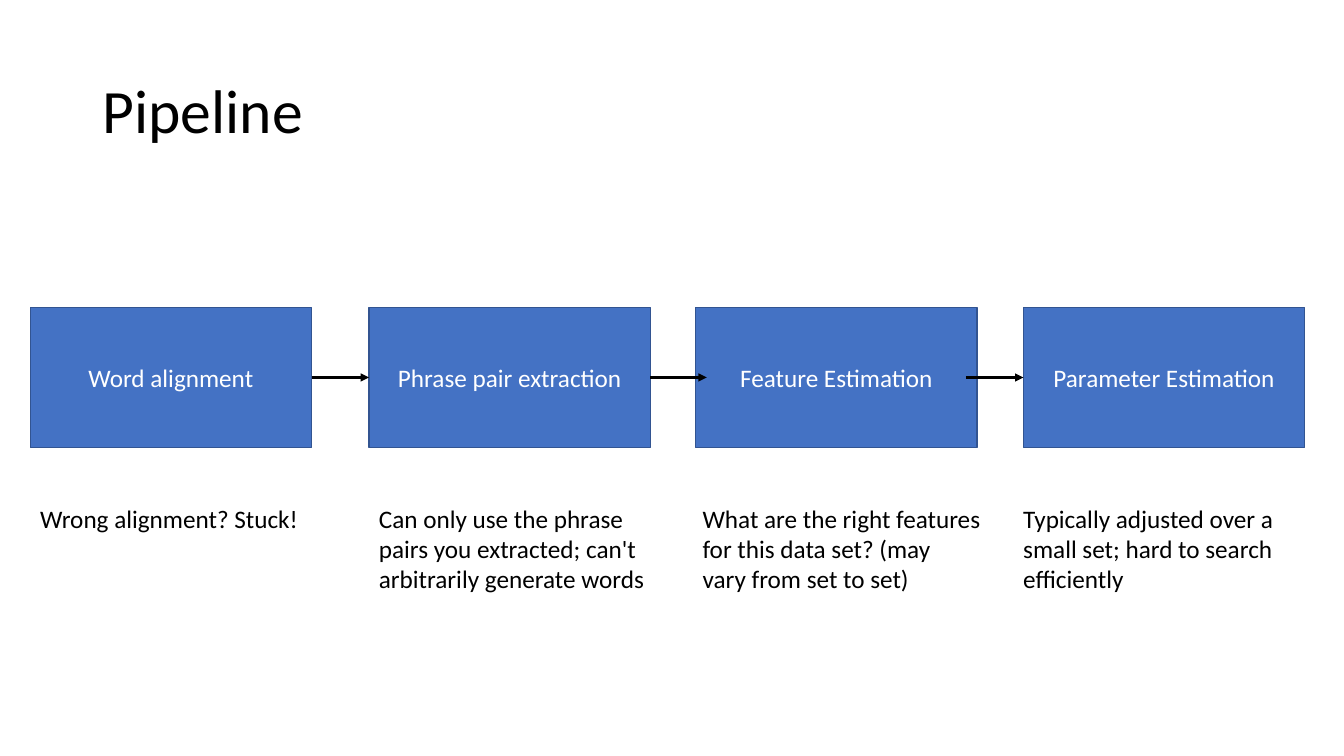
from lxml import etree
from pptx import Presentation
from pptx.dml.color import RGBColor as RGB
from pptx.enum.shapes import MSO_CONNECTOR as LINK, MSO_SHAPE as SHAPE
from pptx.enum.text import MSO_ANCHOR as ANCHOR, PP_ALIGN as ALIGN
from pptx.oxml.ns import qn
from pptx.util import Inches, Pt

# Content
TITLE = "Pipeline"
# step, box left, note left, note width, note paragraphs
STEPS = [
    ("Word alignment", 0.3, 0.3, 2.79, ["Wrong alignment? Stuck!"]),
    ("Phrase pair extraction", 3.66, 3.66, 2.94,
     ["Can only use the phrase\npairs you extracted; can't\narbitrarily generate words"]),
    ("Feature Estimation", 6.9, 6.87, 2.99,
     ["What are the right features\nfor this data set? (may\nvary from set to set)"]),
    ("Parameter Estimation", 10.15, 10.05, 2.71,
     ["Typically adjusted over a\nsmall set; hard to search", "efficiently"]),
]
ARROWS = [(3.09, 3.66), (6.45, 7.01), (9.58, 10.15)]
HEX = {"ink": "000000", "box": "4472C4", "edge": "325491", "label": "FFFFFF"}
FONT = "Calibri"
BOX_W, BOX_H, BOX_TOP, NOTE_TOP = 2.79, 1.39, 3.05, 4.94
MID = BOX_TOP + BOX_H / 2


def color(name):
    return RGB.from_string(HEX[name])


def write(shape, paras, size=18, ink="ink", align=ALIGN.LEFT,
          anchor=ANCHOR.TOP, wrap=True, space=1.0):
    frame = shape.text_frame
    frame.word_wrap = wrap
    frame.vertical_anchor = anchor
    for i, text in enumerate(paras):
        para = frame.add_paragraph() if i else frame.paragraphs[0]
        para.text = text
        para.alignment = align
        para.line_spacing = space
        for run in para.runs:
            run.font.name = FONT
            run.font.size = Pt(size)
            run.font.color.rgb = color(ink)


def text_box(left, top, width, height, paras, **style):
    box = slide.shapes.add_textbox(*map(Inches, (left, top, width, height)))
    write(box, paras, **style)


def step_box(left, label):
    box = slide.shapes.add_shape(
        SHAPE.RECTANGLE, *map(Inches, (left, BOX_TOP, BOX_W, BOX_H)))
    box.shadow.inherit = False
    box.fill.solid()
    box.fill.fore_color.rgb = color("box")
    box.line.color.rgb = color("edge")
    box.line.width = Pt(1)
    write(box, [label], ink="label", align=ALIGN.CENTER, anchor=ANCHOR.MIDDLE)


def arrow(start, end):
    link = slide.shapes.add_connector(
        LINK.STRAIGHT, *map(Inches, (start, MID, end, MID)))
    link.line.color.rgb = color("ink")
    link.line.width = Pt(1.5)
    etree.SubElement(link.line._get_or_add_ln(), qn("a:tailEnd"), type="triangle")
    etree.SubElement(link._element.spPr, qn("a:effectLst"))


deck = Presentation()
deck.slide_width, deck.slide_height = Inches(13.33), Inches(7.5)
slide = deck.slides.add_slide(deck.slide_layouts[6])

# Title
text_box(0.92, 0.4, 11.5, 1.45, [TITLE], size=44, anchor=ANCHOR.MIDDLE, space=0.9)

# Steps, arrows, notes
for label, left, *_ in STEPS:
    step_box(left, label)
for start, end in ARROWS:
    arrow(start, end)
for _, _, left, width, paras in STEPS:
    lines = sum(para.count("\n") + 1 for para in paras)
    text_box(left, NOTE_TOP, width, 0.1 + 0.3 * lines, paras, wrap=False)

deck.save("out.pptx")
